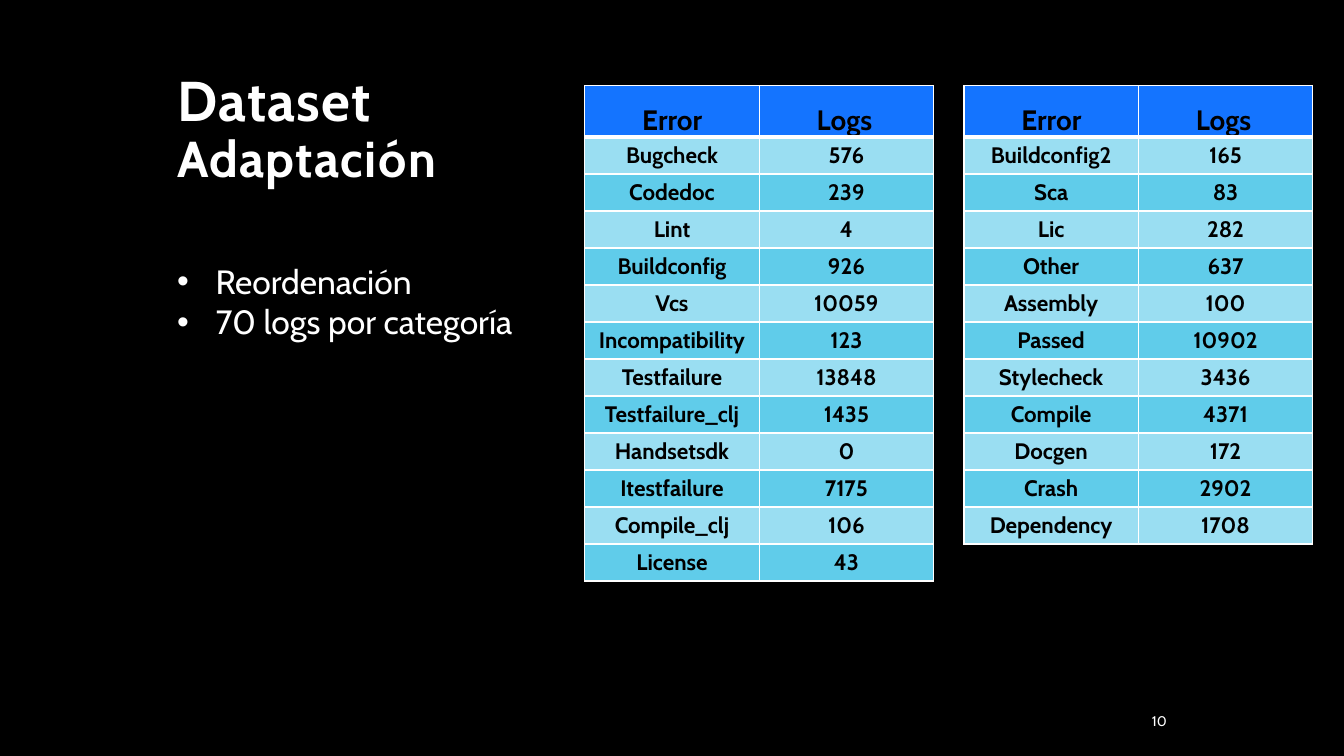
from dataclasses import dataclass
from typing import Any, Optional

import pptx
import pptx.dml.color
import pptx.enum.text
import pptx.oxml
import pptx.oxml.ns
import pptx.util

ALIGN = pptx.enum.text.PP_ALIGN
ANCHOR = pptx.enum.text.MSO_ANCHOR


@dataclass(frozen=True)
class Theme:
    font: str = "Cabin"
    background: str = "000000"
    light: str = "FFFFFF"
    dark: str = "000000"
    header: str = "1474FF"
    bands: tuple[str, str] = ("9ADEF2", "60CCEA")
    title: int = 40
    subtitle: int = 36
    bullet: int = 24
    table_header: int = 20
    table_body: int = 16
    number: int = 10


@dataclass(frozen=True)
class Box:
    """A place on the slide, in percent of its width and height."""
    left: float
    top: float
    width: float
    height: float


@dataclass(frozen=True)
class LogTable:
    left: float
    rows: tuple[tuple[str, int], ...]


THEME = Theme()
WIDTH = pptx.util.Inches(13.33)
HEIGHT = pptx.util.Inches(7.5)

TITLE = Box(12.45, 5.6, 75, 20)
BULLETS = Box(12.45, 33.87, 28.81, 26.93)
NUMBER = Box(80.65, 93.33, 6.9, 4)
TABLE_TOP, TABLE_WIDTH = 11.33, 25.96
HEADER_HEIGHT, ROW_HEIGHT = 6.8, 4.89
HEADINGS = ("Error", "Logs")

TABLES = (
    LogTable(43.51, (
        ("Bugcheck", 576), ("Codedoc", 239), ("Lint", 4),
        ("Buildconfig", 926), ("Vcs", 10059), ("Incompatibility", 123),
        ("Testfailure", 13848), ("Testfailure_clj", 1435), ("Handsetsdk", 0),
        ("Itestfailure", 7175), ("Compile_clj", 106), ("License", 43),
    )),
    LogTable(71.72, (
        ("Buildconfig2", 165), ("Sca", 83), ("Lic", 282), ("Other", 637),
        ("Assembly", 100), ("Passed", 10902), ("Stylecheck", 3436),
        ("Compile", 4371), ("Docgen", 172), ("Crash", 2902),
        ("Dependency", 1708),
    )),
)


def across(percent: float) -> int:
    return round(WIDTH * percent / 100)


def down(percent: float) -> int:
    return round(HEIGHT * percent / 100)


def place(box: Box) -> tuple[int, int, int, int]:
    return across(box.left), down(box.top), across(box.width), down(box.height)


def rgb(color: str) -> pptx.dml.color.RGBColor:
    return pptx.dml.color.RGBColor.from_string(color)


def write(p: Any, text: str, *, size: int, color: str = THEME.light,
          bold: bool = False, align: Optional[ALIGN] = None,
          line: Optional[float] = None, tracking: float = 0) -> None:
    """Append a formatted run to a paragraph; tracking is in points."""
    r = p.add_run()
    r.text = text
    r.font.name = THEME.font
    r.font.size = pptx.util.Pt(size)
    r.font.bold = bold
    r.font.color.rgb = rgb(color)
    if tracking:
        r.font._element.set("spc", str(round(tracking * 100)))
    if align is not None:
        p.alignment = align
    if line is not None:
        p.line_spacing = line


def indent(p: Any, margin: float, first: float = 0, bullet: str = "") -> None:
    pPr = p._p.get_or_add_pPr()
    pPr.set("marL", str(pptx.util.Inches(margin)))
    pPr.set("indent", str(pptx.util.Inches(first)))
    if bullet:
        for tag, key, value in (("a:buFont", "typeface", "Arial"),
                                ("a:buChar", "char", bullet)):
            pPr.append(pptx.oxml.parse_xml(
                f'<{tag} {pptx.oxml.ns.nsdecls("a")} {key}="{value}"/>'))


def add_frame(slide: Any, box: Box, anchor: ANCHOR = ANCHOR.TOP) -> Any:
    tf = slide.shapes.add_textbox(*place(box)).text_frame
    tf.word_wrap = True
    tf.vertical_anchor = anchor
    return tf


def paint_cell(cell: Any, fill: str, top: int = 1, bottom: int = 1) -> None:
    """Set the fill and the borders, whose widths are in points."""
    tcPr = cell._tc.get_or_add_tcPr()
    for side, points in zip("LRTB", (1, 1, top, bottom)):
        tcPr.append(pptx.oxml.parse_xml(
            f'<a:ln{side} {pptx.oxml.ns.nsdecls("a")} w="{pptx.util.Pt(points)}">'
            f'<a:solidFill><a:srgbClr val="{THEME.light}"/></a:solidFill>'
            f'</a:ln{side}>'))
    cell.fill.solid()
    cell.fill.fore_color.rgb = rgb(fill)


def add_log_table(slide: Any, log: LogTable) -> None:
    box = Box(log.left, TABLE_TOP, TABLE_WIDTH,
              HEADER_HEIGHT + ROW_HEIGHT * len(log.rows))
    table = slide.shapes.add_table(
        len(log.rows) + 1, len(HEADINGS), *place(box)).table
    table.first_row = table.horz_banding = False
    for column in table.columns:
        column.width = across(TABLE_WIDTH / len(HEADINGS))
    for i, row in enumerate(table.rows):
        row.height = down(ROW_HEIGHT if i else HEADER_HEIGHT)

    for j, heading in enumerate(HEADINGS):
        cell = table.cell(0, j)
        cell.margin_left = cell.margin_right = pptx.util.Inches(0.07)
        cell.margin_top, cell.margin_bottom = pptx.util.Inches(0.01), 0
        p = cell.text_frame.paragraphs[0]
        indent(p, 0.5)
        write(p, heading, size=THEME.table_header, color=THEME.dark,
              bold=True, align=ALIGN.JUSTIFY, line=1.5)
        paint_cell(cell, THEME.header, bottom=3)

    for i, values in enumerate(log.rows):
        for j, value in enumerate(values):
            cell = table.cell(i + 1, j)
            write(cell.text_frame.paragraphs[0], str(value),
                  size=THEME.table_body, color=THEME.dark, bold=True,
                  align=ALIGN.CENTER)
            paint_cell(cell, THEME.bands[i % 2], top=1 if i else 3)


def main() -> None:
    prs = pptx.Presentation()
    prs.slide_width, prs.slide_height = WIDTH, HEIGHT
    slide = prs.slides.add_slide(prs.slide_layouts[6])
    slide.background.fill.solid()
    slide.background.fill.fore_color.rgb = rgb(THEME.background)

    p = add_frame(slide, TITLE, ANCHOR.BOTTOM).paragraphs[0]
    write(p, "Dataset", size=THEME.title, bold=True, line=0.9, tracking=1)
    p.add_line_break()
    write(p, "Adaptación", size=THEME.subtitle, bold=True, tracking=1)

    tf = add_frame(slide, BULLETS)
    for i, text in enumerate(("Reordenación", "70 logs por categoría")):
        p = tf.add_paragraph() if i else tf.paragraphs[0]
        indent(p, 0.38, -0.38, "•")
        write(p, text, size=THEME.bullet)

    for log in TABLES:
        add_log_table(slide, log)

    p = add_frame(slide, NUMBER, ANCHOR.MIDDLE).paragraphs[0]
    write(p, "10", size=THEME.number, align=ALIGN.RIGHT)
    prs.save("out.pptx")


if __name__ == "__main__":
    main()
